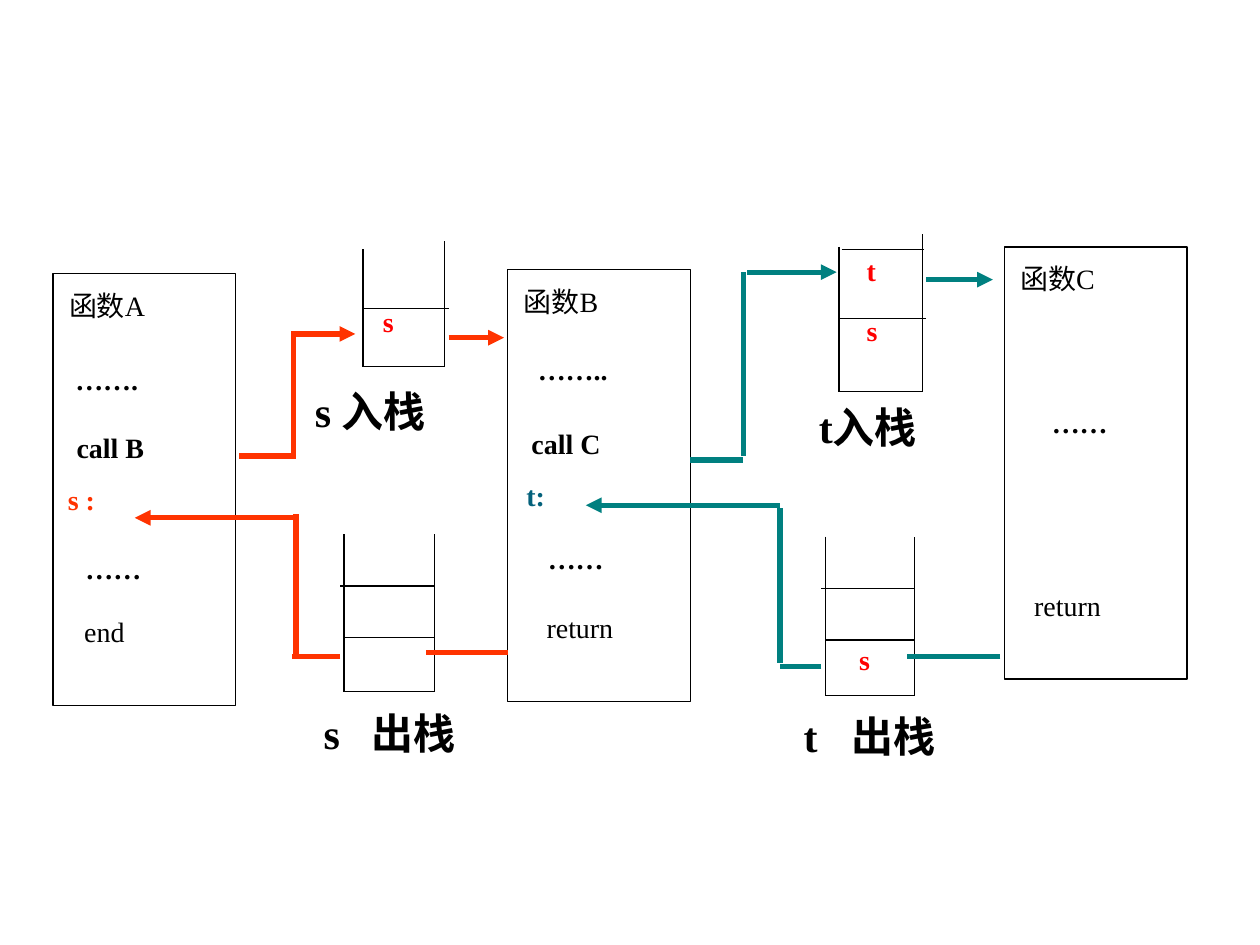
from lxml.etree import SubElement
from pptx import Presentation
from pptx.dml.color import RGBColor
from pptx.enum.shapes import MSO_CONNECTOR, MSO_SHAPE
from pptx.enum.text import PP_ALIGN
from pptx.oxml.ns import qn
from pptx.util import Emu, Inches, Pt

# Grid of 100 columns by 75 rows
COLS, ROWS = 100, 75
CELL = Inches(0.1)

BLACK = RGBColor(0x00, 0x00, 0x00)
WHITE = RGBColor(0xFF, 0xFF, 0xFF)
RED = RGBColor(0xFF, 0x00, 0x00)
ORANGE = RGBColor(0xFF, 0x33, 0x00)
TEAL = RGBColor(0x00, 0x80, 0x80)
BLUE = RGBColor(0x04, 0x61, 0x7B)
FONT = "Times New Roman"
BOX_W, BOX_H = 14.5, 34.3


def grid(*cells):
    return [Emu(round(n * CELL)) for n in cells]


def add_text(s, col, row, text, width=12, height=5, size=16, color=BLACK,
             bold=True, tab=None):
    tf = s.shapes.add_textbox(*grid(col, row, width, height)).text_frame
    tf.word_wrap = True
    p = tf.paragraphs[0]
    p.alignment = PP_ALIGN.JUSTIFY
    if tab:
        tabs = SubElement(p._p.get_or_add_pPr(), qn("a:tabLst"))
        SubElement(tabs, qn("a:tab"), pos=str(grid(tab)[0]), algn="l")
    r = p.add_run()
    r.text = text
    r.font.name = FONT
    r.font.size = Pt(size)
    r.font.bold = bold
    r.font.color.rgb = color


def add_line(s, x1, y1, x2, y2, color=BLACK, width=0.75, arrow=False):
    c = s.shapes.add_connector(MSO_CONNECTOR.STRAIGHT, *grid(x1, y1, x2, y2))
    c.line.color.rgb = color
    c.line.width = Pt(width)
    if arrow:
        SubElement(c.line._get_or_add_ln(), qn("a:tailEnd"), type="triangle")
    SubElement(c._element.spPr, qn("a:effectLst"))


def add_route(s, color, *segments, arrow=True):
    """Thick segments, the last of which may carry an arrowhead."""
    for segment in segments:
        add_line(s, *segment, color=color, width=3,
                 arrow=arrow and segment is segments[-1])


def add_function(s, col, row, name, *lines):
    """Framed function; each line is (column offset, row offset, text, format)."""
    sp = s.shapes.add_shape(MSO_SHAPE.RECTANGLE, *grid(col, row, BOX_W, BOX_H))
    sp.shadow.inherit = False
    sp.fill.solid()
    sp.fill.fore_color.rgb = WHITE
    sp.line.color.rgb = BLACK
    sp.line.width = Pt(0.75)
    add_text(s, col + 0.3, row + 0.7, name, bold=False)
    for dx, dy, text, fmt in lines:
        add_text(s, col + dx, row + dy, text, **fmt)


def add_stack(s, left, right, top_left, top_right, bottom, *shelves):
    """Open-topped stack; each shelf is (start, end, row)."""
    add_line(s, left, bottom, right, bottom)
    add_line(s, left, top_left, left, bottom)
    add_line(s, right, bottom, right, top_right)
    for start, end, row in shelves:
        add_line(s, start, row, end, row)


def main():
    prs = Presentation()
    prs.slide_width, prs.slide_height = grid(COLS, ROWS)
    s = prs.slides.add_slide(prs.slide_layouts[6])
    plain = {"bold": False}

    # Functions
    add_function(s, 4.2, 21.7, "函数A",
                 (0.8, 6.6, "…….", {}), (0.9, 12, "call B", {}),
                 (0.2, 16.1, "s :", {"color": ORANGE}),
                 (1.6, 21.6, "……", {}), (1.5, 26.6, "end", plain))
    add_function(s, 40.3, 21.4, "函数B",
                 (1.4, 6.1, "……..", {}), (0.9, 12, "call C", {}),
                 (0.5, 16.1, "t:", {"color": BLUE}),
                 (2.2, 21.1, "……", {}), (2.1, 26.6, "return", plain))
    add_function(s, 79.7, 19.6, "函数C",
                 (2.8, 12.1, "……", {}), (1.4, 26.6, "return", plain))

    # Stacks after each push
    add_stack(s, 28.8, 35.3, 19.8, 19.1, 29.1, (28.8, 35.6, 24.5))
    add_stack(s, 66.6, 73.2, 19.6, 18.6, 31.1,
              (66.6, 73.5, 25.3), (66.8, 73.3, 19.8))

    # Stacks after each pop
    add_stack(s, 27.3, 34.5, 42.4, 42.4, 54.9,
              (27.3, 34.5, 50.6), (27, 34.5, 46.5))
    add_stack(s, 65.5, 72.6, 42.6, 42.6, 55.2,
              (65.5, 72.6, 50.8), (65.2, 72.6, 46.7))

    # Stack contents
    for col, row, item in ((29.4, 23.7, "s"), (67.8, 24.4, "s"),
                           (67.8, 19.6, "t"), (67.2, 50.5, "s")):
        add_text(s, col, row, item, width=6, color=RED)

    # Captions
    for col, row, caption in ((24, 30.1, "s 入栈"), (64, 31.4, "t入栈"),
                              (24.7, 55.7, "s\t出栈"), (62.8, 55.9, "t\t出栈")):
        add_text(s, col, row, caption, width=15, size=24, tab=3.8)

    # Calls
    add_route(s, ORANGE, (19, 36.2, 23.5, 36.2), (23.3, 36.3, 23.3, 26.3),
              (23.2, 26.5, 28.2, 26.5))
    add_route(s, ORANGE, (35.6, 26.8, 40, 26.8))
    add_route(s, TEAL, (54.8, 36.5, 59, 36.5), (59, 36.2, 59, 21.6),
              (59.3, 21.6, 66.4, 21.6))
    add_route(s, TEAL, (73.5, 22.2, 78.8, 22.2))

    # Returns
    add_route(s, TEAL, (79.4, 52.1, 72, 52.1), arrow=False)
    add_route(s, TEAL, (65.2, 52.9, 61.9, 52.9), (61.9, 52.6, 61.9, 40.3),
              (61.9, 40.1, 46.5, 40.1))
    add_route(s, ORANGE, (40.3, 51.8, 33.8, 51.8), arrow=False)
    add_route(s, ORANGE, (27, 52.1, 23.2, 52.1), (23.5, 52.1, 23.5, 40.8),
              (23.5, 41.1, 10.7, 41.1))

    prs.save("out.pptx")


if __name__ == "__main__":
    main()
